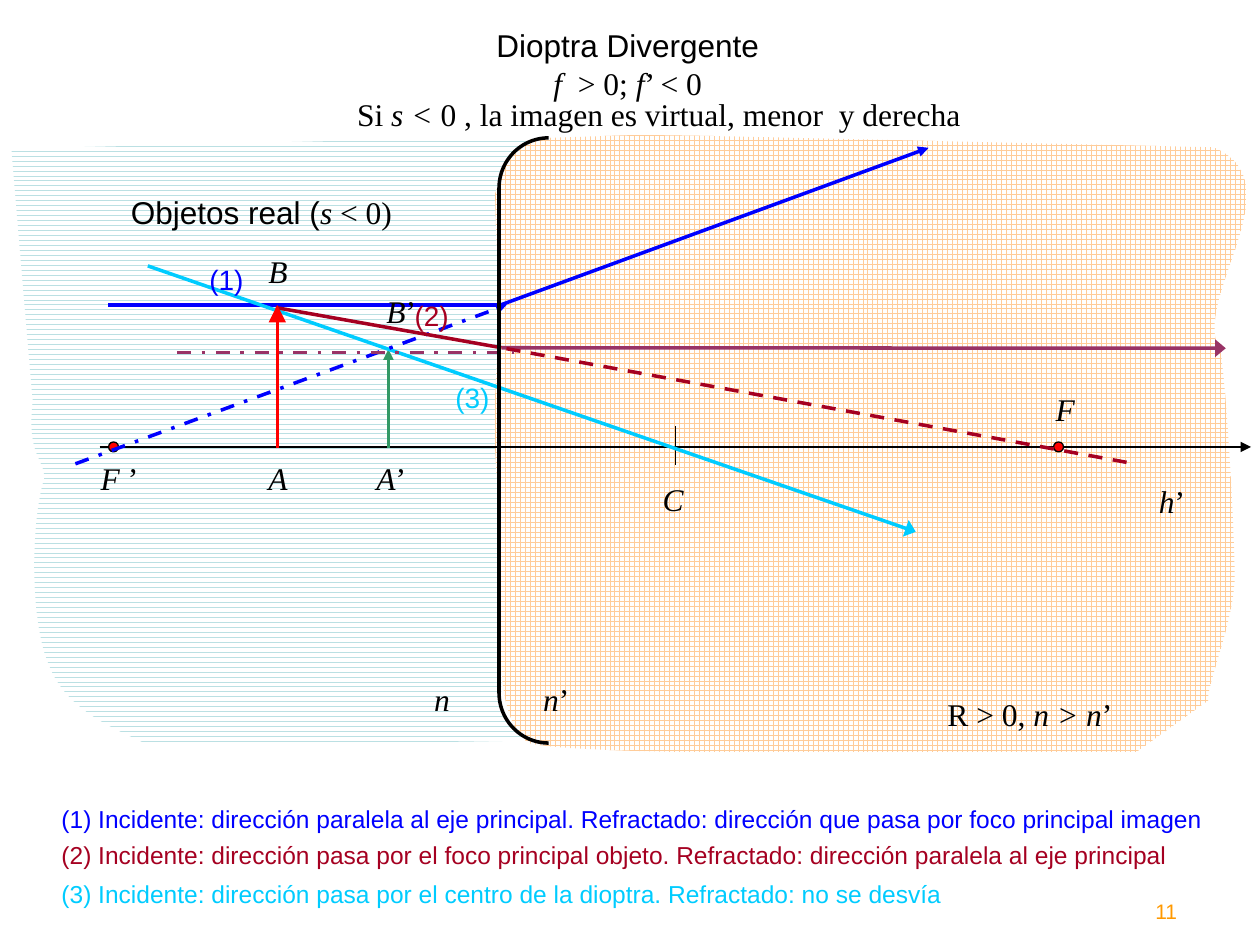
from dataclasses import dataclass

from lxml import etree
from pptx import Presentation
from pptx.dml.color import RGBColor
from pptx.enum import dml, shapes, text
from pptx.oxml.ns import qn
from pptx.util import Cm, Pt


@dataclass(frozen=True)
class Theme:
    sans: str = "Arial"
    serif: str = "Times New Roman"
    black: str = "000000"
    white: str = "FFFFFF"
    blue: str = "0000FF"
    crimson: str = "A50021"
    cyan: str = "00CCFF"
    purple: str = "993366"
    green: str = "339966"
    red: str = "FF0000"
    orange: str = "FF9900"
    water: str = "BBE0E3"
    sand: str = "FFCC99"
    heading: int = 18
    ray_number: int = 16
    note: int = 14
    page_number: int = 12


THEME = Theme()
DASH = dml.MSO_LINE.DASH
DASH_DOT = dml.MSO_LINE.DASH_DOT
AXIS_Y = 9.01
MEDIUM_HEAD = {"w": "med", "len": "med"}
WIDE_HEAD = {"w": "lg", "len": "med"}
LARGE_HEAD = {"w": "lg", "len": "lg"}


def rgb(value):
    return RGBColor.from_string(value)


def italic(words):
    return words, {"italic": True}


def sans(words):
    return words, {"font": THEME.sans}


def write(para, pieces, font=THEME.serif, size=THEME.heading, color=THEME.black):
    """Fill a paragraph with plain strings or (words, format) pairs."""
    for piece in pieces:
        words, look = (piece, {}) if isinstance(piece, str) else piece
        span = para.add_run()
        span.text = words
        span.font.name = look.get("font", font)
        span.font.size = Pt(size)
        span.font.italic = look.get("italic", False)
        span.font.color.rgb = rgb(color)


def bend(region, outline):
    """Merge the three segments of each sextuple into one Bézier curve."""
    segments = iter(list(region._element.iter(qn("a:lnTo"))))
    for step in outline[1:]:
        first = next(segments)
        if len(step) == 6:
            first.tag = qn("a:cubicBezTo")
            for extra in (next(segments), next(segments)):
                first.append(extra[0])
                extra.getparent().remove(extra)


class Diagram:
    def __init__(self, page, theme):
        self.page = page
        self.theme = theme

    def medium(self, outline, pattern, color):
        """Outline steps are points, or sextuples of two controls and an end."""
        points = [(Cm(step[i]), Cm(step[i + 1]))
                  for step in outline for i in range(0, len(step), 2)]
        builder = self.page.shapes.build_freeform(*points[0], scale=1.0)
        builder.add_line_segments(points[1:], close=True)
        region = builder.convert_to_shape()
        bend(region, outline)
        region.shadow.inherit = False
        region.fill.patterned()
        region.fill.pattern = pattern
        region.fill.fore_color.rgb = rgb(color)
        region.fill.back_color.rgb = rgb(self.theme.white)
        region.line.fill.background()

    def ray(self, start, end, color, width=2, dash=None, head=None):
        line = self.page.shapes.add_connector(
            shapes.MSO_CONNECTOR.STRAIGHT, *map(Cm, start + end))
        line.line.color.rgb = rgb(color)
        line.line.width = Pt(width)
        if dash:
            line.line.dash_style = dash
        properties = line._element.spPr
        if head:
            etree.SubElement(properties.find(qn("a:ln")), qn("a:tailEnd"),
                             type="triangle", **head)
        etree.SubElement(properties, qn("a:effectLst"))

    def focus(self, x, diameter=0.2):
        dot = self.page.shapes.add_shape(
            shapes.MSO_SHAPE.OVAL, Cm(x - diameter / 2), Cm(AXIS_Y - diameter / 2),
            Cm(diameter), Cm(diameter))
        dot.shadow.inherit = False
        dot.fill.solid()
        dot.fill.fore_color.rgb = rgb(self.theme.red)
        dot.line.color.rgb = rgb(self.theme.black)
        dot.line.width = Pt(0.75)

    def surface(self, left, top, width, height):
        bracket = self.page.shapes.add_shape(
            shapes.MSO_SHAPE.LEFT_BRACKET, Cm(left), Cm(top), Cm(width), Cm(height))
        bracket.adjustments[0] = 1.016
        bracket.shadow.inherit = False
        bracket.fill.background()
        bracket.line.color.rgb = rgb(self.theme.black)
        bracket.line.width = Pt(2)

    def label(self, left, top, width, *lines, height=1.02, wrap=False, centred=False, **look):
        box = self.page.shapes.add_textbox(Cm(left), Cm(top), Cm(width), Cm(height))
        frame = box.text_frame
        frame.word_wrap = wrap
        frame.auto_size = text.MSO_AUTO_SIZE.SHAPE_TO_FIT_TEXT
        for number, pieces in enumerate(lines):
            para = frame.add_paragraph() if number else frame.paragraphs[0]
            if centred:
                para.alignment = text.PP_ALIGN.CENTER
            write(para, pieces, **look)


def draw_media(diagram):
    diagram.medium(
        [(0.23, 3), (6.86, 2.84), (10.85, 2.84), (10.39, 3.1), (10.11, 3.66), (10.03, 8),
         (10.03, 9.02), (10.06, 9.88), (10.11, 14.1), (10.21, 14.55),
         (10.34, 14.71, 11.81, 14.83, 10.85, 14.91), (11.4, 14.94, 5.74, 14.99, 4.42, 15.04),
         (2.87, 14.96), (2.29, 14.68, 1.32, 14.3, 0.99, 13.41),
         (0.61, 12.57, 0.61, 10.59, 0.89, 9.65), (0.91, 9.25, 0.53, 9.19, 0.66, 8.08),
         (0.56, 6.96, 0.23, 3, 0.23, 3)],
        dml.MSO_PATTERN.WAVE, THEME.water)
    diagram.medium(
        [(24.36, 14.12), (24.31, 13.84, 24.87, 12.55, 24.89, 11.66),
         (24.89, 10.77, 24.74, 8, 24.61, 7.11), (23.95, 6.07, 26.19, 3.68, 24.46, 2.97),
         (14.27, 2.74), (12.88, 2.72), (10.72, 2.79), (10.21, 3.2), (9.98, 3.91),
         (10.06, 6.43), (9.98, 8.03), (9.98, 9.02), (10.03, 9.88), (10.06, 11.48),
         (10.11, 13.56), (10.16, 14.1, 10.26, 14.45, 10.41, 14.71),
         (10.74, 15.01, 10.44, 14.96, 11.02, 15.04),
         (11.61, 15.11, 13.26, 15.16, 13.92, 15.16), (15.06, 15.16), (22.91, 15.16),
         (24.36, 14.12)],
        dml.MSO_PATTERN.LARGE_GRID, THEME.sand)


def draw_rays(diagram):
    diagram.ray((2.01, AXIS_Y), (25.22, AXIS_Y), THEME.black, width=1.25, head=MEDIUM_HEAD)
    for x in (2.29, 21.34):
        diagram.focus(x)
    refraction = (10.11, 7.01)
    diagram.ray((2.18, 6.15), (10.19, 6.15), THEME.blue)
    diagram.ray(refraction, (24.71, 7.02), THEME.purple, head=WIDE_HEAD)
    diagram.ray((13.62, 8.59), (13.62, 9.37), THEME.black, width=0.75)
    diagram.ray((7.83, 9.04), (7.83, 7.04), THEME.green, head=MEDIUM_HEAD)
    diagram.ray((2.98, 5.36), (18.46, 10.72), THEME.cyan, head=WIDE_HEAD)
    diagram.ray((1.52, 9.35), (10.21, 6.15), THEME.blue, dash=DASH_DOT, head=MEDIUM_HEAD)
    diagram.ray((10.03, 6.17), (18.72, 2.98), THEME.blue, head=MEDIUM_HEAD)
    diagram.ray(refraction, (5.56, 6.2), THEME.crimson)
    diagram.ray((5.59, 9.04), (5.59, 6.15), THEME.red, width=1.5, head=LARGE_HEAD)
    diagram.ray((22.71, 9.32), refraction, THEME.crimson, dash=DASH)
    diagram.ray((3.57, 7.11), (10.36, 7.11), THEME.purple, dash=DASH_DOT)
    diagram.surface(10.06, 2.78, 1, 12.2)


def draw_labels(diagram):
    for left, top, width, letter, prime in (
            (1.78, 9.12, 1.4, "F ", "’"), (21.03, 7.74, 0.91, "F", ""),
            (8.5, 13.59, 0.84, "n", ""), (10.7, 13.59, 1.04, "n", "’"),
            (5.16, 9.12, 0.89, "A", ""), (7.34, 9.12, 1.12, "A", "’"),
            (5.16, 4.95, 1.04, "B", ""), (7.54, 5.77, 1.12, "B", "’"),
            (23.11, 9.59, 1.04, "h", "’"), (13.11, 9.55, 0.94, "C", "")):
        diagram.label(left, top, width, [italic(letter)] + ([prime] if prime else []))
    diagram.label(18.85, 13.89, 3.86, ["R > 0, ", italic("n > n"), "’"])
    diagram.label(2.39, 3.76, 5.82, [sans("Objetos real ("), italic("s "), "< 0)"])
    diagram.label(9.72, 0.41, 5.87, [sans("Dioptra Divergente")],
                  [italic("f"), "  > 0; ", italic("f"), "’ < 0"], height=1.8, centred=True)
    diagram.label(6.95, 1.79, 13.28,
                  ["Si ", italic("s < "), "0 , la imagen es virtual, menor  y derecha"],
                  height=1.8, wrap=True)

    rays = (
        (THEME.blue, 3.97, 5.16, 16.08, 23.62, "(1)",
         " Incidente: dirección paralela al eje principal. "
         "Refractado: dirección que pasa por foco principal imagen"),
        (THEME.crimson, 8.11, 5.89, 16.81, 22.89, "(2)",
         " Incidente: dirección pasa por el foco principal objeto. "
         "Refractado: dirección paralela al eje principal"),
        (THEME.cyan, 8.93, 7.54, 17.6, 18.34, "(3)",
         " Incidente: dirección pasa por el centro de la dioptra. Refractado: no se desvía"))
    for color, left, top, note_top, note_width, number, note in rays:
        diagram.label(left, top, 1.22, [number], height=0.94,
                      font=THEME.sans, size=THEME.ray_number, color=color)
        diagram.label(0.99, note_top, note_width, [number + note], height=0.86,
                      font=THEME.sans, size=THEME.note, color=color)
    diagram.label(23.04, 17.98, 0.99, ["11"], height=0.76,
                  font=THEME.sans, size=THEME.page_number, color=THEME.orange)


def main():
    deck = Presentation()
    deck.slide_width, deck.slide_height = Cm(25.4), Cm(19.05)
    diagram = Diagram(deck.slides.add_slide(deck.slide_layouts[6]), THEME)
    draw_media(diagram)
    draw_rays(diagram)
    draw_labels(diagram)
    deck.save("out.pptx")


if __name__ == "__main__":
    main()
